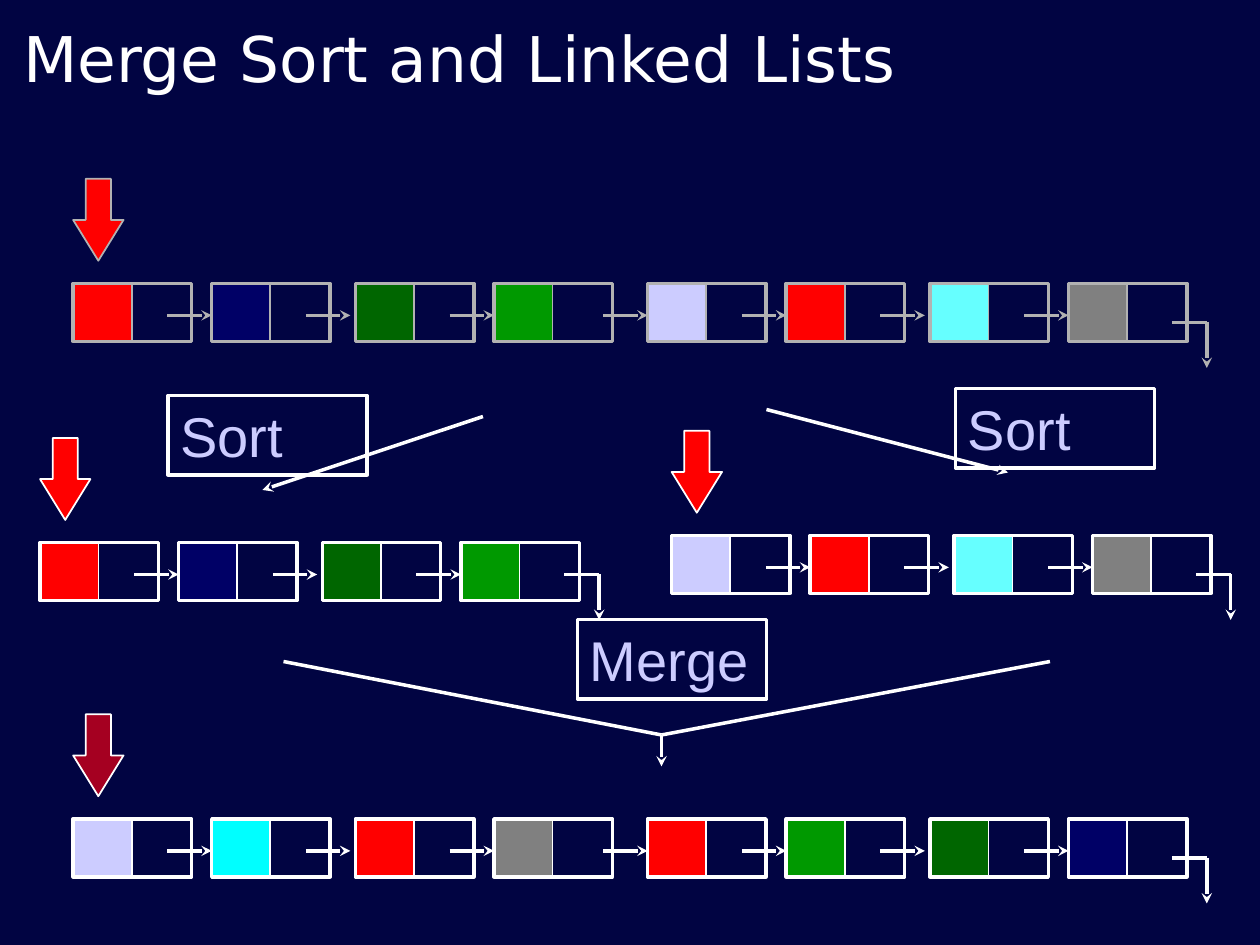
from itertools import pairwise

from lxml.etree import SubElement
from pptx import Presentation
from pptx.dml.color import RGBColor
from pptx.enum.shapes import MSO_CONNECTOR, MSO_SHAPE
from pptx.enum.text import MSO_ANCHOR, MSO_AUTO_SIZE, PP_ALIGN
from pptx.oxml.ns import qn
from pptx.util import Pt

BACKGROUND = RGBColor(0x01, 0x04, 0x42)
WHITE = RGBColor(0xFF, 0xFF, 0xFF)
SILVER = RGBColor(0xB2, 0xB2, 0xB2)
RED = RGBColor(0xFF, 0x00, 0x00)
CRIMSON = RGBColor(0xA5, 0x00, 0x21)
NAVY = RGBColor(0x00, 0x00, 0x66)
DARK_GREEN = RGBColor(0x00, 0x66, 0x00)
GREEN = RGBColor(0x00, 0x99, 0x00)
LAVENDER = RGBColor(0xCC, 0xCC, 0xFF)
PALE_CYAN = RGBColor(0x66, 0xFF, 0xFF)
CYAN = RGBColor(0x00, 0xFF, 0xFF)
GRAY = RGBColor(0x80, 0x80, 0x80)

NODE_WIDTH, NODE_HEIGHT, DATA_WIDTH = 67.7, 33.1, 33.5
NODE_OFFSETS = (0, 79.2, 161.3, 240.5)
HALF_OFFSET = 328.3
LINK_DROP, LINK_LENGTH = 18.2, 25.4


def add_title(page, left, top, width, height):
    title = page.shapes.title
    title.left, title.top, title.width, title.height = map(Pt, (left, top, width, height))
    frame = title.text_frame
    frame.text = "Merge Sort and Linked Lists"
    frame.vertical_anchor = MSO_ANCHOR.MIDDLE
    frame.auto_size = MSO_AUTO_SIZE.NONE
    paragraph = frame.paragraphs[0]
    paragraph.alignment = PP_ALIGN.LEFT
    font = paragraph.runs[0].font
    font.name, font.size = "DejaVu Sans", Pt(36)
    font.color.rgb = WHITE


def add_figure(page, kind, left, top, width, height, fill, line, weight):
    shape = page.shapes.add_shape(kind, Pt(left), Pt(top), Pt(width), Pt(height))
    shape.shadow.inherit = False
    if fill is None:
        shape.fill.background()
    else:
        shape.fill.solid()
        shape.fill.fore_color.rgb = fill
    shape.line.color.rgb = line
    shape.line.width = Pt(weight)
    return shape


def add_line(page, start, end, colour=WHITE, arrow=True):
    line = page.shapes.add_connector(
        MSO_CONNECTOR.STRAIGHT, *map(Pt, (*start, *end)))
    line.line.color.rgb = colour
    line.line.width = Pt(2)
    if arrow:
        SubElement(line.line._get_or_add_ln(), qn("a:tailEnd"), type="stealth")
    SubElement(line._element.spPr, qn("a:effectLst"))


def add_label(page, text, left, top, width, height=45.4):
    box = page.shapes.add_textbox(Pt(left), Pt(top), Pt(width), Pt(height))
    box.line.color.rgb = WHITE
    box.line.width = Pt(2)
    frame = box.text_frame
    frame.word_wrap = True
    frame.text = text
    font = frame.paragraphs[0].runs[0].font
    font.name, font.size = "Arial", Pt(32)
    font.color.rgb = LAVENDER


def add_linked_list(page, left, top, colours, line=WHITE, pointer=RED, end_drop=22.3):
    head = add_figure(page, MSO_SHAPE.DOWN_ARROW, left, top - 59.8, 28.8, 46.8,
                      pointer, line, 1)
    head.adjustments[0], head.adjustments[1] = 0.5, 0.81
    nodes = [left + index // 4 * HALF_OFFSET + NODE_OFFSETS[index % 4]
             for index in range(len(colours))]
    for node, colour in zip(nodes, colours):
        add_figure(page, MSO_SHAPE.RECTANGLE, node, top, DATA_WIDTH, NODE_HEIGHT,
                   colour, line, 1)
        add_figure(page, MSO_SHAPE.RECTANGLE, node, top, NODE_WIDTH, NODE_HEIGHT,
                   None, line, 2)
    for index, (node, following) in enumerate(pairwise(nodes)):
        start = following - LINK_LENGTH if index == 3 else node + 53.8
        add_line(page, (start, top + LINK_DROP),
                 (start + LINK_LENGTH, top + LINK_DROP), line)
    corner = (nodes[-1] + 79, top + end_drop)
    add_line(page, (corner[0] - 20, corner[1]), corner, line, arrow=False)
    add_line(page, corner, (corner[0], corner[1] + 26), line)


def add_sort_step(page, start, end, label_left, label_top):
    add_line(page, start, end)
    add_label(page, "Sort", label_left, label_top, 113.8)


def add_merge_step(page, left, top, width, height):
    middle = (378, top + height)
    for side in (left, left + width):
        add_line(page, (side, top), middle, arrow=False)
    add_label(page, "Merge", 330, 354, 108)
    add_line(page, middle, (middle[0], middle[1] + 18))


def main():
    deck = Presentation()
    deck.slide_width, deck.slide_height = Pt(720), Pt(540)
    page = deck.slides.add_slide(deck.slide_layouts[5])
    page.background.fill.solid()
    page.background.fill.fore_color.rgb = BACKGROUND

    first_half = [RED, NAVY, DARK_GREEN, GREEN]
    second_half = [LAVENDER, RED, PALE_CYAN, GRAY]
    merged = [LAVENDER, CYAN, RED, GRAY, RED, GREEN, DARK_GREEN, NAVY]

    add_title(page, 6, 6, 612, 54)
    add_linked_list(page, 41.8, 162, first_half + second_half, line=SILVER)
    add_sort_step(page, (276, 238), (150, 280), 96, 226)
    add_linked_list(page, 22.9, 310.1, first_half, end_drop=LINK_DROP)
    add_sort_step(page, (438, 234), (576, 270), 546, 222)
    add_linked_list(page, 383.8, 306, second_half)
    add_merge_step(page, 162, 378, 438, 42)
    add_linked_list(page, 41.8, 468, merged, pointer=CRIMSON)
    deck.save("out.pptx")


if __name__ == "__main__":
    main()
